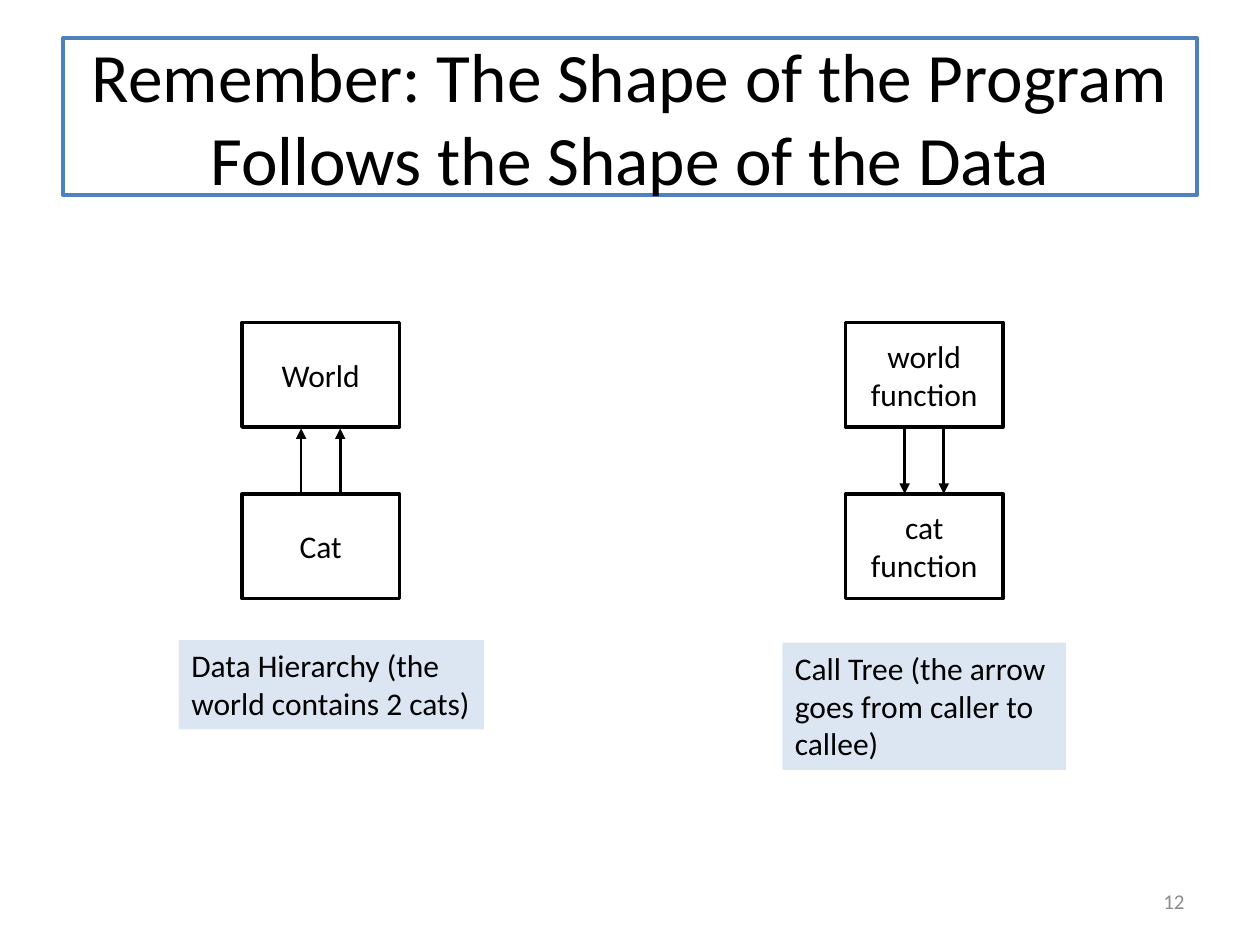
import pptx
import pptx.dml.color
import pptx.enum.shapes
import pptx.enum.text
import pptx.oxml
import pptx.oxml.ns
import pptx.util

Inches = pptx.util.Inches
ALIGN = pptx.enum.text.PP_ALIGN
ANCHOR = pptx.enum.text.MSO_ANCHOR
COLORS = {"white": "FFFFFF", "black": "000000", "blue": "4F81BD",
          "pale": "DCE6F2", "gray": "8C8C8C"}
BOX_W, BOX_H = 1.25, 0.83
TOP_Y, BOTTOM_Y = 2.56, 3.92
ARROW_OFFSETS = (0.47, 0.78)


def rgb(name):
    """Return the named colour."""
    return pptx.dml.color.RGBColor.from_string(COLORS[name])


def set_text(shape, text, size=18, color="black", align=ALIGN.LEFT,
             anchor=ANCHOR.TOP):
    """Write one formatted paragraph into a shape."""
    tf = shape.text_frame
    frame = {"word_wrap": True, "vertical_anchor": anchor,
             "auto_size": pptx.enum.text.MSO_AUTO_SIZE.NONE}
    for key, value in frame.items():
        setattr(tf, key, value)
    p = tf.paragraphs[0]
    p.alignment = align
    r = p.add_run()
    r.text = text
    for key, value in {"name": "Calibri", "size": pptx.util.Pt(size)}.items():
        setattr(r.font, key, value)
    r.font.color.rgb = rgb(color)


def set_look(shape, fill, line=None):
    """Fill a shape and give it a 2 pt outline or none."""
    shape.fill.solid()
    shape.fill.fore_color.rgb = rgb(fill)
    if line:
        shape.line.color.rgb = rgb(line)
        shape.line.width = pptx.util.Pt(2)
    else:
        shape.line.fill.background()


def add_title(s, text):
    """Place and format the title placeholder."""
    title = s.shapes.title
    place = {"left": 0.5, "top": 0.3, "width": 9, "height": 1.25}
    for key, value in place.items():
        setattr(title, key, Inches(value))
    set_look(title, "white", "blue")
    set_text(title, text, 39.6, align=ALIGN.CENTER, anchor=ANCHOR.MIDDLE)


def add_box(shapes, x, y, w, h, text, fill="white", line=None, **text_format):
    """Add a rectangle with text."""
    box = shapes.add_shape(pptx.enum.shapes.MSO_SHAPE.RECTANGLE,
                           Inches(x), Inches(y), Inches(w), Inches(h))
    box.shadow.inherit = False
    set_look(box, fill, line)
    set_text(box, text, **text_format)


def add_arrow(shapes, x, start_y, end_y):
    """Add a vertical arrow pointing at end_y."""
    arrow = shapes.add_connector(pptx.enum.shapes.MSO_CONNECTOR.STRAIGHT,
                                 Inches(x), Inches(start_y),
                                 Inches(x), Inches(end_y))
    arrow.line.color.rgb = rgb("black")
    arrow.line.width = pptx.util.Pt(1.5)
    ns = pptx.oxml.ns.nsdecls("a")
    ln = arrow.line._get_or_add_ln()
    ln.append(pptx.oxml.parse_xml(f'<a:tailEnd {ns} type="triangle"/>'))
    ln.getparent().append(pptx.oxml.parse_xml(f"<a:effectLst {ns}/>"))


def add_diagram(s, x, labels, upward):
    """Group two stacked boxes joined by a pair of arrows."""
    shapes = s.shapes.add_group_shape().shapes
    for y, label in zip((TOP_Y, BOTTOM_Y), labels):
        add_box(shapes, x, y, BOX_W, BOX_H, label, line="black",
                align=ALIGN.CENTER, anchor=ANCHOR.MIDDLE)
    ends = (TOP_Y + BOX_H + 0.01, BOTTOM_Y)
    start_y, end_y = reversed(ends) if upward else ends
    for offset in ARROW_OFFSETS:
        add_arrow(shapes, x + offset, start_y, end_y)


def add_page_number(s, number):
    """Add the page number at the lower right."""
    box = s.shapes.add_textbox(Inches(7.17), Inches(6.95),
                               Inches(2.33), Inches(0.4))
    set_text(box, number, 12, "gray", ALIGN.RIGHT, ANCHOR.MIDDLE)


def main():
    """Build and save the slide."""
    prs = pptx.Presentation()
    prs.slide_width, prs.slide_height = Inches(10), Inches(7.5)
    s = prs.slides.add_slide(prs.slide_layouts[5])
    add_title(s, "Remember: The Shape of the Program Follows "
                 "the Shape of the Data")
    add_page_number(s, "12")
    add_box(s.shapes, 1.42, 5.08, 2.42, 0.71,
            "Data Hierarchy (the world contains 2 cats)", "pale")
    add_box(s.shapes, 6.21, 5.1, 2.25, 1.01,
            "Call Tree (the arrow goes from caller to callee)", "pale")
    add_diagram(s, 6.71, ("world function", "cat function"), upward=False)
    add_diagram(s, 1.92, ("World", "Cat"), upward=True)
    prs.save("out.pptx")


main()
